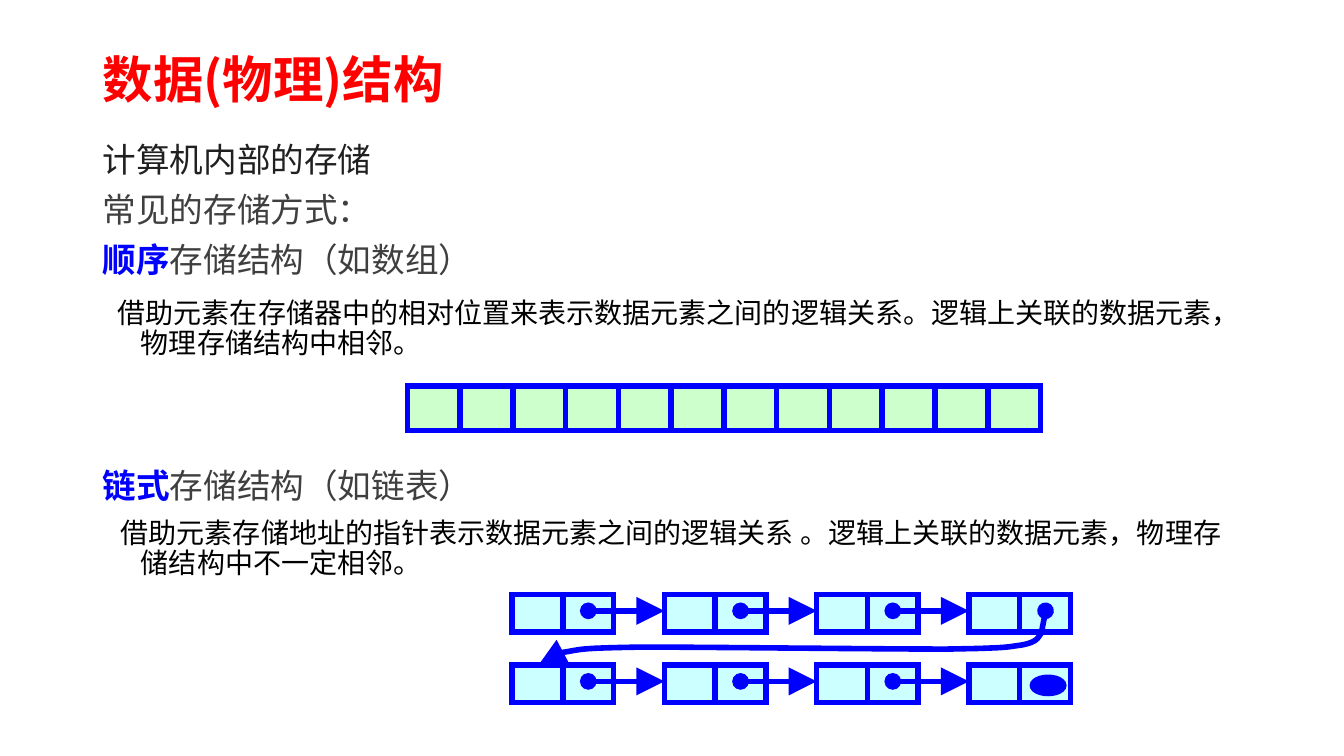
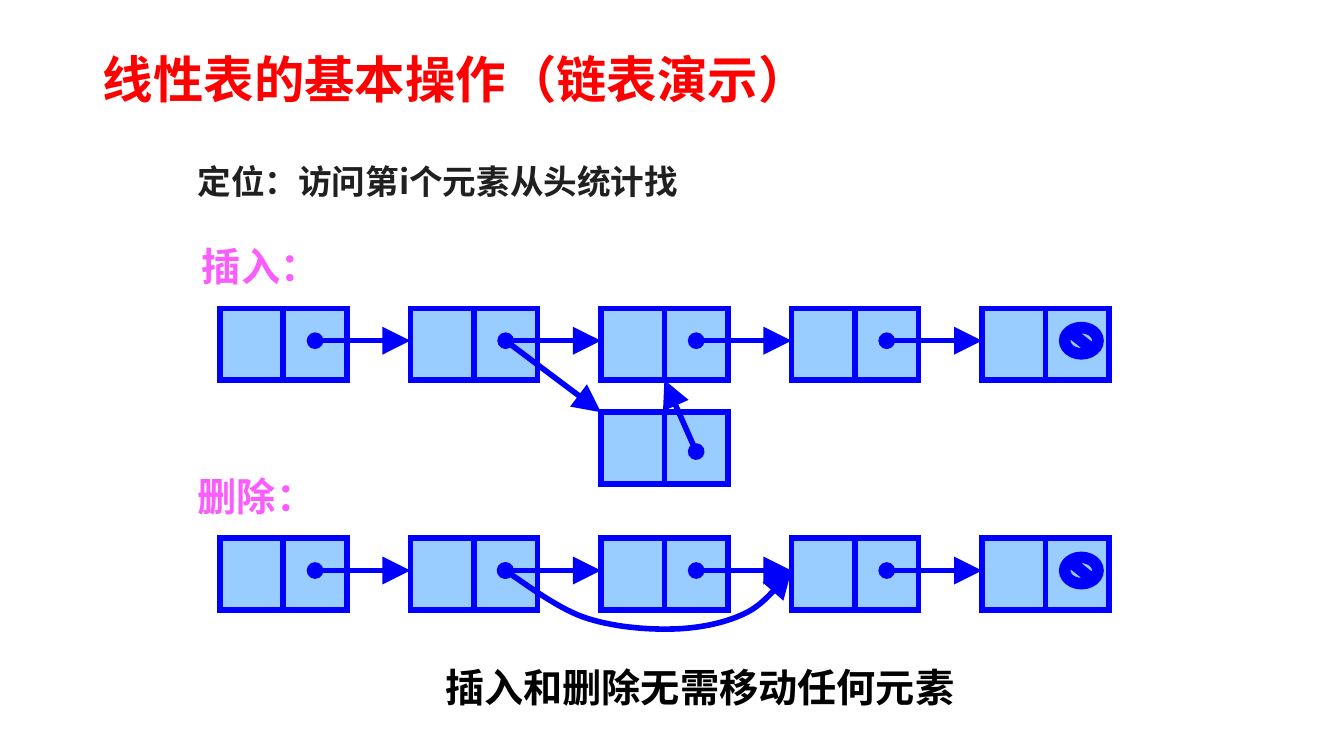
from lxml.etree import SubElement
from pptx import Presentation
from pptx.dml.color import RGBColor
from pptx.enum.shapes import MSO_CONNECTOR as CONNECTOR, MSO_SHAPE as SHAPE
from pptx.enum.text import MSO_ANCHOR as ANCHOR, MSO_AUTO_SIZE as AUTO_SIZE, PP_ALIGN as ALIGN
from pptx.oxml.ns import qn
from pptx.util import Inches, Pt

RED = RGBColor(0xFF, 0x00, 0x00)
BLUE = RGBColor(0x00, 0x00, 0xFF)
PINK = RGBColor(0xFB, 0x5C, 0xFD)
BLACK = RGBColor(0x00, 0x00, 0x00)
CHARCOAL = RGBColor(0x20, 0x20, 0x20)
GRAY = RGBColor(0x3F, 0x3F, 0x3F)
GREEN = RGBColor(0xCC, 0xFF, 0xCC)
CYAN = RGBColor(0xCC, 0xFF, 0xFF)
SKY = RGBColor(0x99, 0xCC, 0xFF)
CJK_FONT = "Noto Sans CJK SC"
STROKE = Pt(4)
HANGING = 0.38


def style_run(run, size, color, bold=False, font=CJK_FONT):
    """Format a run, naming the font for Latin and East Asian text."""
    run.font.size = Pt(size)
    run.font.bold = bold
    run.font.color.rgb = color
    run.font.name = font
    SubElement(run.font._element, qn("a:ea")).set("typeface", CJK_FONT)


def add_title_slide(deck, heading):
    """Add a title-only slide with the shared red heading."""
    slide = deck.slides.add_slide(deck.slide_layouts[5])
    title = slide.shapes.title
    title.left, title.top = Inches(0.92), Inches(0.4)
    title.width, title.height = Inches(11.5), Inches(0.84)
    frame = title.text_frame
    frame.text = heading
    frame.auto_size = AUTO_SIZE.NONE
    frame.vertical_anchor = ANCHOR.MIDDLE
    line = frame.paragraphs[0]
    line.alignment = ALIGN.LEFT
    line.line_spacing = 0.9
    style_run(line.runs[0], 36, RED, True)
    return slide


def add_text(slide, text, left, top, width, height, size, color,
             align=ALIGN.LEFT, font=CJK_FONT, wrap=True):
    """Add a bold single-line text box."""
    box = slide.shapes.add_textbox(Inches(left), Inches(top), Inches(width), Inches(height))
    frame = box.text_frame
    frame.word_wrap = wrap
    frame.text = text
    frame.paragraphs[0].alignment = align
    style_run(frame.paragraphs[0].runs[0], size, color, True, font)


def add_body(slide, entries):
    """Add the body text from (first-line start, space before, runs) entries."""
    box = slide.shapes.add_textbox(Inches(0.92), Inches(1.37), Inches(11.5), Inches(5.38))
    frame = box.text_frame
    frame.word_wrap = True
    for index, (start, space, runs) in enumerate(entries):
        paragraph = frame.add_paragraph() if index else frame.paragraphs[0]
        paragraph.line_spacing = 0.9
        paragraph.space_before = Pt(space)
        properties = paragraph._p.get_or_add_pPr()
        properties.set("marL", str(Inches(HANGING)))
        properties.set("indent", str(Inches(start - HANGING)))
        for text, size, color, bold in runs:
            run = paragraph.add_run()
            run.text = text
            style_run(run, size, color, bold)


def stroke_blue(shape):
    """Give a shape the shared blue line with sharp corners."""
    shape.line.color.rgb = BLUE
    shape.line.width = STROKE
    SubElement(shape.line._get_or_add_ln(), qn("a:miter")).set("lim", "800000")


def add_arrowheads(shape, dot):
    """Put an optional dot at the start and a large triangle at the end of a line."""
    line = shape.line._get_or_add_ln()
    if dot:
        SubElement(line, qn("a:headEnd")).set("type", "oval")
    tail = SubElement(line, qn("a:tailEnd"))
    for key, value in (("type", "triangle"), ("w", "lg"), ("len", "lg")):
        tail.set(key, value)


def add_block(slide, left, top, width, height, fill, kind=SHAPE.RECTANGLE):
    """Add a filled shape with a blue outline."""
    block = slide.shapes.add_shape(kind, Inches(left), Inches(top), Inches(width), Inches(height))
    block.shadow.inherit = False
    block.fill.solid()
    block.fill.fore_color.rgb = fill
    stroke_blue(block)


def add_null_sign(slide, left, top, width, height):
    """Draw the sign for an empty pointer."""
    add_block(slide, left, top, width, height, BLUE, SHAPE.NO_SYMBOL)


def add_pointer(slide, start, end, dot=True):
    """Draw a straight pointer arrow."""
    pointer = slide.shapes.add_connector(
        CONNECTOR.STRAIGHT, *(Inches(value) for value in (*start, *end)))
    stroke_blue(pointer)
    add_arrowheads(pointer, dot)
    SubElement(pointer._element.spPr, qn("a:effectLst"))


def bezier_point(p0, p1, p2, p3, t):
    """Return the point at t on a cubic curve."""
    s = 1 - t
    return tuple(s**3 * a + 3 * s * s * t * b + 3 * s * t * t * c + t**3 * d
                 for a, b, c, d in zip(p0, p1, p2, p3))


def add_curved_pointer(slide, points, steps=16):
    """Draw a curved pointer through a chain of cubic control points."""
    controls = [(Inches(x), Inches(y)) for x, y in points]
    trail = [bezier_point(*controls[i:i + 4], step / steps)
             for i in range(0, len(controls) - 1, 3) for step in range(1, steps + 1)]
    builder = slide.shapes.build_freeform(*controls[0])
    builder.add_line_segments(trail, close=False)
    curve = builder.convert_to_shape()
    curve.shadow.inherit = False
    curve.fill.background()
    stroke_blue(curve)
    add_arrowheads(curve, True)


def add_node(slide, left, top, cell, height, fill):
    """Draw a list node: a data cell and a pointer cell."""
    for column in range(2):
        add_block(slide, left + column * cell, top, cell, height, fill)


def add_chain(slide, left, top, count, pitch, height, drop, fill):
    """Draw equally spaced nodes, each pointing to the next."""
    cell = pitch / 3
    for index in range(count):
        node = left + index * pitch
        add_node(slide, node, top, cell, height, fill)
        if index < count - 1:
            add_pointer(slide, (node + 1.5 * cell, top + drop), (node + pitch, top + drop))


def build_storage_slide(deck):
    """Build the slide on sequential and linked storage."""
    slide = add_title_slide(deck, "数据(物理)结构")
    add_body(slide, [
        (0, 10, [("计算机内部的存储", 24, CHARCOAL, False)]),
        (0, 10, [("常见的存储方式：", 24, GRAY, False)]),
        (0, 10, [("顺序", 24, BLUE, True), ("存储结构（如数组）", 24, GRAY, False)]),
        (0.15, 14, [("借助元素在存储器中的相对位置来表示数据元素之间的逻辑关系。"
                     "逻辑上关联的数据元素，物理存储结构中相邻。", 20, BLACK, False)]),
        (0, 78, [("链式", 24, BLUE, True), ("存储结构（如链表）", 24, GRAY, False)]),
        (0.18, 10, [("借助元素存储地址的指针表示数据元素之间的逻辑关系 。"
                     "逻辑上关联的数据元素，物理存储结构中不一定相邻。", 20, BLACK, False)]),
    ])
    cells = 12
    cell_width = 6.28 / cells
    for index in range(cells):
        add_block(slide, 4.04 + index * cell_width, 3.83, cell_width, 0.44, GREEN)
    for top in (5.9, 6.6):
        add_chain(slide, 5.08, top, 4, 1.51, 0.37, 0.16, CYAN)
    add_curved_pointer(slide, [
        (10.37, 6.06), (10.36, 6.13), (10.34, 6.21), (10.33, 6.28),
        (10.29, 6.33), (10.29, 6.37), (10.13, 6.4),
        (9.98, 6.42), (10.01, 6.43), (9.38, 6.44),
        (8.75, 6.44), (7, 6.42), (6.37, 6.42),
        (5.74, 6.43), (5.78, 6.44), (5.6, 6.47),
        (5.43, 6.49), (5.39, 6.57), (5.34, 6.6)])
    add_null_sign(slide, 10.24, 6.72, 0.31, 0.16)


def build_operations_slide(deck):
    """Build the slide on locating, inserting and deleting."""
    slide = add_title_slide(deck, "线性表的基本操作（链表演示）")
    left, pitch, height, drop = 2.18, 1.89, 0.71, 0.32
    cell = pitch / 3
    insert_top, delete_top, new_top = 3.06, 5.34, 4.09
    second_dot = left + pitch + 1.5 * cell
    third = left + 2 * pitch
    for top in (insert_top, delete_top):
        add_chain(slide, left, top, 5, pitch, height, drop, SKY)
        add_null_sign(slide, 10.53, top + 0.16, 0.39, 0.32)
    add_node(slide, third, new_top, cell, height, SKY)
    add_pointer(slide, (third + 1.5 * cell, 4.48), (third + cell, insert_top + height))
    add_pointer(slide, (second_dot, insert_top + drop), (third, new_top), dot=False)
    add_curved_pointer(slide, [
        (5.01, 5.66), (5.14, 5.74), (5.5, 6.02), (5.78, 6.12),
        (6.06, 6.22), (6.42, 6.25), (6.7, 6.24),
        (6.97, 6.23), (7.23, 6.17), (7.42, 6.07),
        (7.61, 5.97), (7.76, 5.75), (7.85, 5.66)])
    add_text(slide, "定位：访问第i个元素从头统计找", 1.86, 1.55, 5.28, 0.5, 24, CHARCOAL)
    for label, label_left, label_top in (("插入：", 1.9, 2.35), ("删除：", 1.86, 4.64)):
        add_text(slide, label, label_left, label_top, 1.37, 0.57, 28, PINK,
                 ALIGN.CENTER, "Arial", wrap=False)
    add_text(slide, "插入和删除无需移动任何元素", 3.67, 6.53, 6.54, 0.57, 28, BLACK, ALIGN.CENTER)


def main():
    """Build and save the presentation."""
    deck = Presentation()
    deck.slide_width, deck.slide_height = Inches(13.33), Inches(7.5)
    build_storage_slide(deck)
    build_operations_slide(deck)
    deck.save("out.pptx")


if __name__ == "__main__":
    main()
